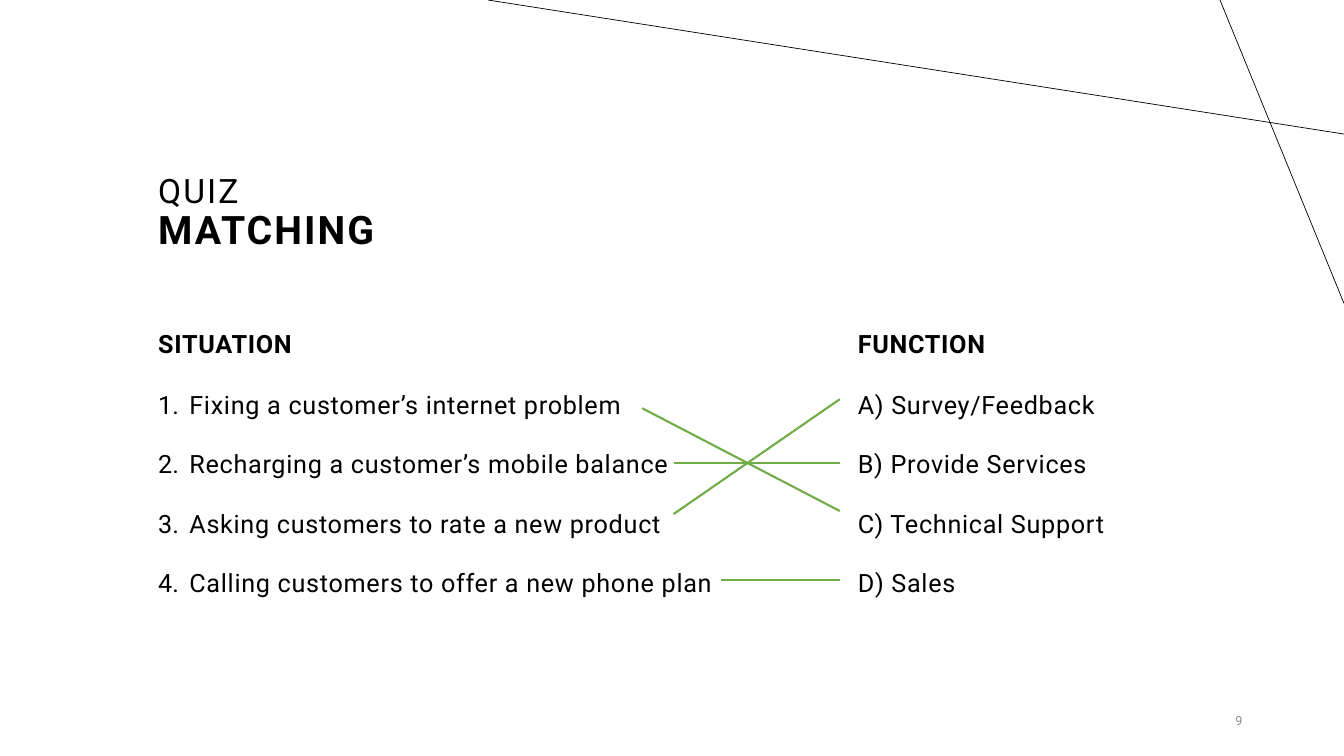
from lxml.etree import SubElement as Sub
from pptx import Presentation
from pptx.dml.color import RGBColor
from pptx.enum.shapes import MSO_CONNECTOR as Link
from pptx.enum.text import MSO_ANCHOR as Anchor, PP_ALIGN as Align
from pptx.oxml.ns import qn
from pptx.util import Inches, Pt

BLACK = RGBColor(0, 0, 0)
GREEN = RGBColor(0x70, 0xAD, 0x47)
GRAY = RGBColor(0x8C, 0x8C, 0x8C)

HEAD = {"size": Pt(18), "bold": True}
ITEM = {"size": Pt(18), "bold": False}
LEFT, RIGHT = 1.47, 8.41
TOP, BODY = 3.24, 3.71
EDGE = 8.33

TASKS = [
    "Fixing a customer’s internet problem",
    "Recharging a customer’s mobile balance",
    "Asking customers to rate a new product",
    "Calling customers to offer a new phone plan",
]
ROLES = ["A) Survey/Feedback", "B) Provide Services", "C) Technical Support", "D) Sales"]
PAIRS = [(6.37, 4.05, 5.07), (6.68, 4.59, 4.59), (6.68, 5.1, 3.96), (7.15, 5.75, 5.75)]
RAYS = [(13.33, 1.33, 4.84, 0), (12.1, 0, 13.33, 3.01)]


def add_line(slide, ends, color, width):
    line = slide.shapes.add_connector(Link.STRAIGHT, *map(Inches, ends))
    line.line.color.rgb = color
    line.line.width = Pt(width)
    Sub(line._element.spPr, qn("a:effectLst"))


def add_box(slide, area, **form):
    frame = slide.shapes.add_textbox(*map(Inches, area)).text_frame
    frame.word_wrap = True
    for name, value in form.items():
        setattr(frame, name, value)
    return frame


def add_run(para, text, form, color=BLACK, track=0):
    run = para.add_run()
    run.text = text
    for name, value in {"name": "Roboto", **form}.items():
        setattr(run.font, name, value)
    run.font.color.rgb = color
    if track:
        run.font._element.set("spc", str(track))


def add_title(slide):
    frame = add_box(slide, (LEFT, 0.61, 10.89, 1.95), vertical_anchor=Anchor.BOTTOM)
    para = frame.paragraphs[0]
    para.line_spacing = 0.9
    add_run(para, "QUIZ", {"size": Pt(24)}, track=150)
    para.add_line_break()
    add_run(para, "MATCHING", {"size": Pt(28), "bold": True}, track=150)


def add_list(frame, texts, form, space, count=False):
    for i, text in enumerate(texts):
        para = frame.add_paragraph() if i else frame.paragraphs[0]
        para.line_spacing = space
        para.space_before = Pt(10)
        add_run(para, text, form, track=50)
        if count:
            props = para._p.get_or_add_pPr()
            props.set("marL", str(Inches(0.31)))
            props.set("indent", str(-Inches(0.31)))
            Sub(props, qn("a:buFont"), typeface="+mj-lt")
            Sub(props, qn("a:buAutoNum"), type="arabicPeriod")


def add_column(slide, left, head, items, widths, count=False):
    wide, broad = widths
    add_list(add_box(slide, (left, TOP, wide, 0.39)), [head], HEAD, 0.9)
    frame = add_box(slide, (left, BODY, broad, 3.15), margin_top=0)
    add_list(frame, items, ITEM, 1.5, count)


def add_number(slide):
    frame = add_box(slide, (11.34, 6.95, 1.08, 0.4), vertical_anchor=Anchor.MIDDLE)
    para = frame.paragraphs[0]
    para.alignment = Align.RIGHT
    add_run(para, "9", {"size": Pt(9)}, GRAY)


def main():
    deck = Presentation()
    deck.slide_width, deck.slide_height = Inches(13.33), Inches(7.5)
    slide = deck.slides.add_slide(deck.slide_layouts[6])
    for ends in RAYS:
        add_line(slide, ends, BLACK, 0.5)
    add_title(slide)
    add_column(slide, LEFT, "SITUATION", TASKS, (5.12, 5.91), count=True)
    add_column(slide, RIGHT, "FUNCTION", ROLES, (3.94, 3.94))
    add_number(slide)
    for left, start, end in PAIRS:
        add_line(slide, (left, start, EDGE, end), GREEN, 1.5)
    deck.save("out.pptx")


if __name__ == "__main__":
    main()
